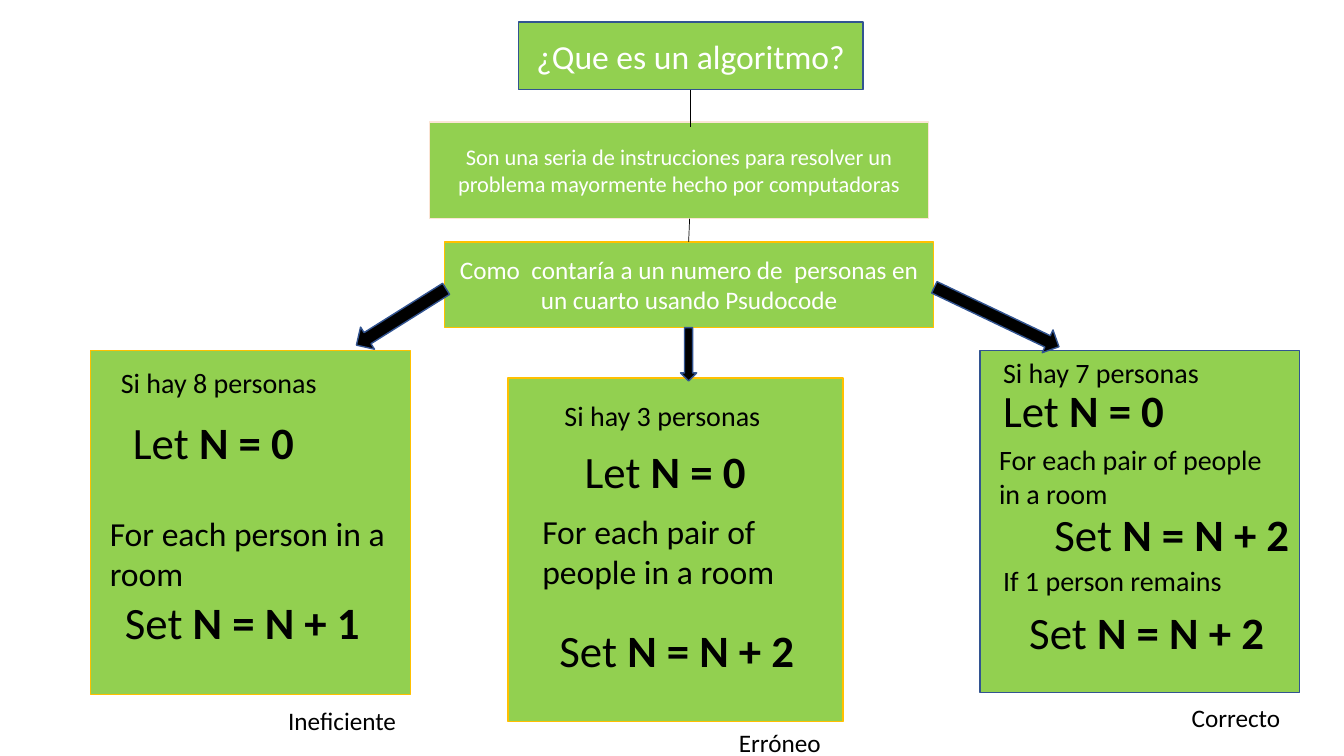
from dataclasses import dataclass

from lxml.etree import SubElement
from pptx import Presentation
from pptx.dml.color import RGBColor
from pptx.enum.shapes import MSO_CONNECTOR as Connector, MSO_SHAPE as Shape
from pptx.enum.text import MSO_ANCHOR as Anchor, MSO_AUTO_SIZE as AutoSize, PP_ALIGN as Align
from pptx.oxml.ns import qn
from pptx.util import Emu, Pt

PX = 9144  # EMU per px, 100 px to the inch


@dataclass(frozen=True)
class Theme:
    font: str = "Calibri"
    green: str = "92D050"
    gold: str = "FFC000"
    cream: str = "FBE5D6"
    navy: str = "325491"
    black: str = "000000"
    white: str = "FFFFFF"
    definition: int = 16
    label: int = 18
    step: int = 20
    heading: int = 24
    code: int = 32
    line_height: float = 1.22


THEME = Theme()
LET = ("Let ", "N = 0")
SET_ONE = ("Set ", "N = N + 1")
SET_TWO = ("Set ", "N = N + 2")
PAIRS = ("For each pair of people in a room",)

# Card: frame, border, then steps as (left, top, width, size, lines, texts)
CASES = [
    ((90, 348, 317, 341), THEME.gold, [
        (110, 358, 276, THEME.step, 1, ("Si hay 8 personas",)),
        (122, 407, 276, THEME.code, 1, LET),
        (99, 504, 299, THEME.heading, 2, ("For each person in a room",)),
        (114, 585, 284, THEME.code, 1, SET_ONE),
        (276, 695, 225, THEME.label, 1, ("Ineficiente",)),
    ]),
    ((504, 375, 332, 341), THEME.gold, [
        (550, 390, 276, THEME.step, 1, ("Si hay 3 personas",)),
        (570, 435, 276, THEME.code, 1, LET),
        (528, 502, 299, THEME.heading, 2, PAIRS),
        (545, 613, 284, THEME.code, 1, SET_TWO),
        (723, 717, 225, THEME.label, 1, ("Erróneo",)),
    ]),
    ((972, 348, 317, 339), THEME.navy, [
        (985, 348, 276, THEME.step, 1, ("Si hay 7 personas",)),
        (985, 375, 276, THEME.code, 1, LET),
        (981, 434, 299, THEME.step, 2, PAIRS),
        (1036, 498, 284, THEME.code, 1, SET_TWO),
        (985, 554, 299, THEME.step, 1, ("If 1 person remains",)),
        (1011, 595, 284, THEME.code, 1, SET_TWO),
        (1172, 692, 225, THEME.label, 1, ("Correcto",)),
    ]),
]

# Block arrows: frame before turning, rotation in degrees
ARROWS = [
    ((385, 262, 26, 105), 57.9),
    ((976, 246, 25, 137), 295.5),
    ((675, 325, 16, 53), 0),
]


def emu(lengths):
    return [Emu(length * PX) for length in lengths]


def rgb(colour):
    return RGBColor.from_string(colour)


def paint(shape, fill, border):
    shape.fill.solid()
    shape.fill.fore_color.rgb = rgb(fill)
    shape.line.color.rgb = rgb(border)
    shape.line.width = Pt(1)


def add_run(paragraph, text, size, colour, bold=False):
    run = paragraph.add_run()
    run.text = text
    run.font.name = THEME.font
    run.font.size = Pt(size)
    run.font.bold = bold
    run.font.color.rgb = rgb(colour)


def write_centred(shape, text, size):
    frame = shape.text_frame
    frame.word_wrap = True
    frame.auto_size = AutoSize.NONE
    frame.vertical_anchor = Anchor.MIDDLE
    paragraph = frame.paragraphs[0]
    paragraph.alignment = Align.CENTER
    add_run(paragraph, text, size, THEME.white)


def set_title(slide, frame, text):
    title = slide.shapes.title
    title.left, title.top, title.width, title.height = emu(frame)
    paint(title, THEME.green, THEME.navy)
    write_centred(title, text, THEME.heading)


def add_block(slide, kind, frame, fill, border):
    block = slide.shapes.add_shape(kind, *emu(frame))
    block.shadow.inherit = False
    paint(block, fill, border)
    return block


def add_step(slide, left, top, width, size, lines, texts):
    """Add a left-aligned step; the second of its texts, if any, is bold."""
    height = round(lines * size * THEME.line_height * 100 / 72) + 10
    step = slide.shapes.add_textbox(*emu((left, top, width, height)))
    step.text_frame.word_wrap = True
    paragraph = step.text_frame.paragraphs[0]
    for position, text in enumerate(texts):
        add_run(paragraph, text, size, THEME.black, bold=position == 1)


def add_link(slide, start, end):
    link = slide.shapes.add_connector(Connector.STRAIGHT, *emu(start + end))
    link.line.color.rgb = rgb(THEME.black)
    link.line.width = Pt(0.5)
    SubElement(link._element.spPr, qn("a:effectLst"))


def main():
    deck = Presentation()
    deck.slide_width, deck.slide_height = emu((1333, 750))
    slide = deck.slides.add_slide(deck.slide_layouts[5])

    set_title(slide, (514, 22, 342, 67), "¿Que es un algoritmo?")
    definition = add_block(slide, Shape.RECTANGLE, (426, 121, 495, 96), THEME.green, THEME.cream)
    write_centred(
        definition,
        "Son una seria de instrucciones para resolver un problema mayormente hecho por computadoras",
        THEME.definition,
    )
    question = add_block(slide, Shape.RECTANGLE, (441, 240, 485, 85), THEME.green, THEME.gold)
    write_centred(
        question,
        "Como  contaría a un numero de  personas en un cuarto usando Psudocode",
        THEME.label,
    )

    for frame, border, steps in CASES:
        add_block(slide, Shape.RECTANGLE, frame, THEME.green, border)
        for step in steps:
            add_step(slide, *step)

    add_link(slide, (685, 89), (685, 126))
    add_link(slide, (684, 217), (683, 240))
    for frame, rotation in ARROWS:
        arrow = add_block(slide, Shape.DOWN_ARROW, frame, THEME.black, THEME.navy)
        arrow.rotation = rotation

    deck.save("out.pptx")


if __name__ == "__main__":
    main()
